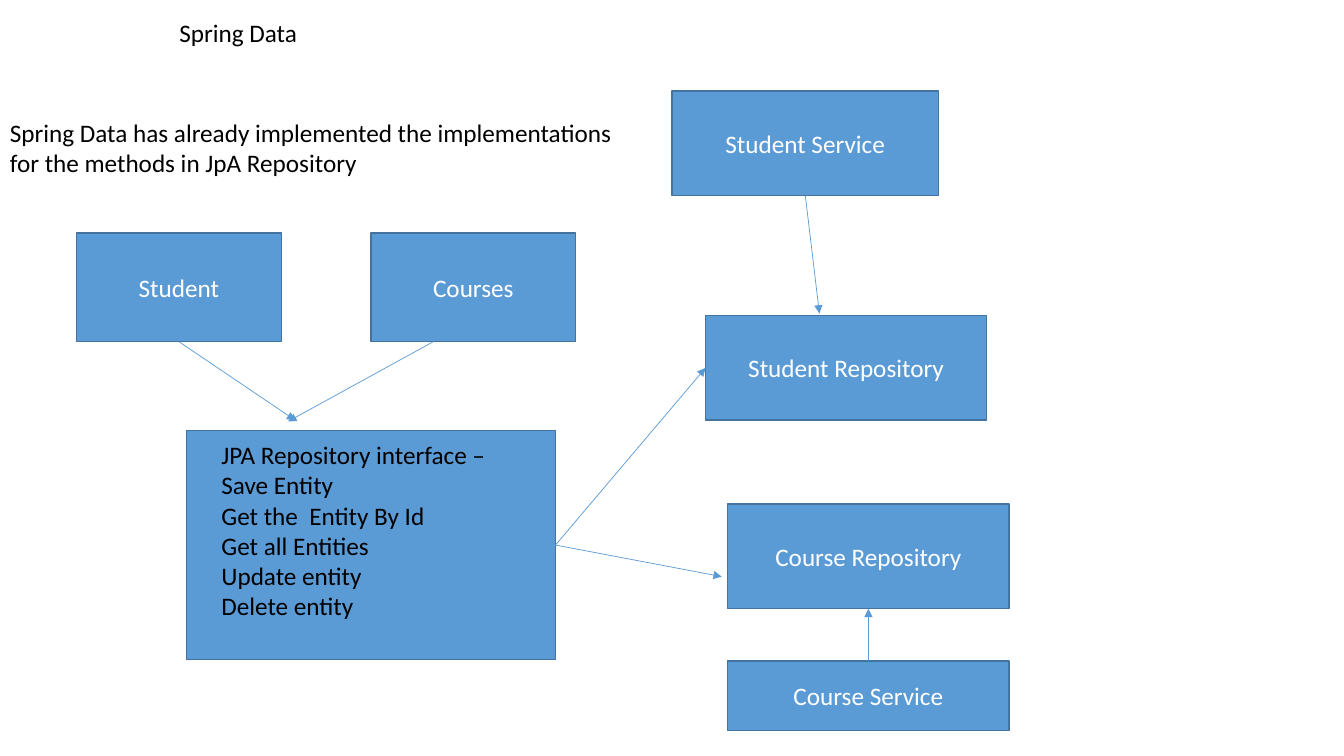
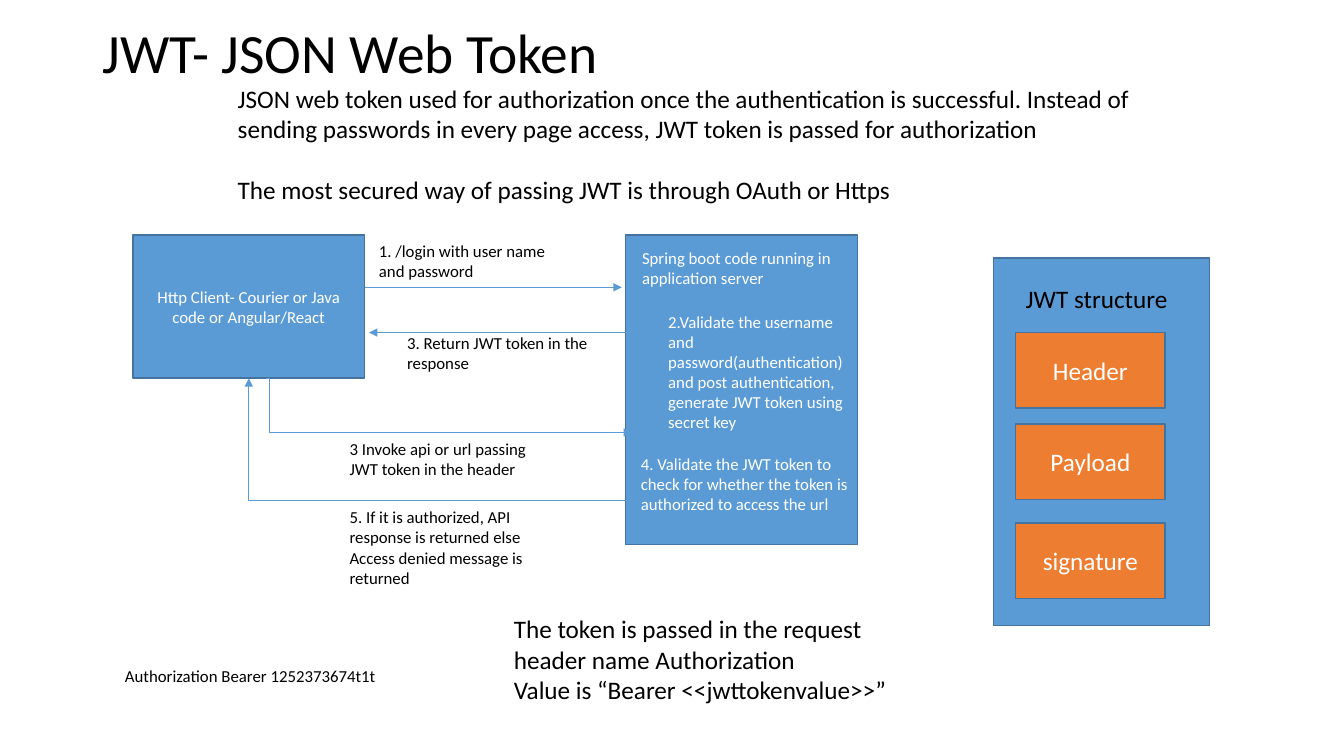
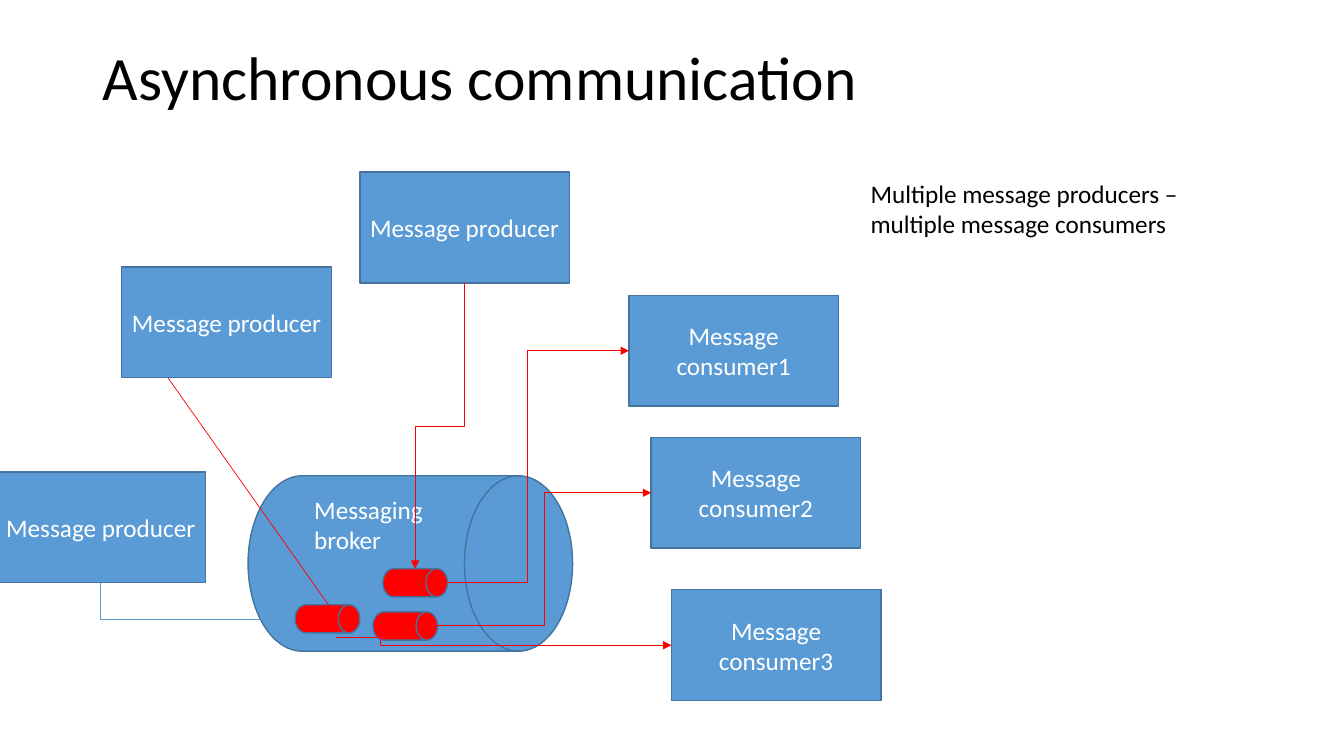
from math import cos, radians, sin

from pptx import Presentation
from pptx.dml.color import RGBColor
from pptx.enum.shapes import MSO_CONNECTOR as CONNECTOR, MSO_SHAPE as SHAPE
from pptx.enum.text import MSO_ANCHOR as ANCHOR, PP_ALIGN as ALIGN
from pptx.oxml.ns import qn
from pptx.oxml.xmlchemy import OxmlElement
from pptx.util import Cm, Pt

COLORS = {
    "blue": "5B9BD5",
    "outline": "43739E",
    "orange": "ED7D31",
    "red": "FF0000",
    "white": "FFFFFF",
    "black": "000000",
}
FONT = "Calibri"
TOP, LEFT, BOTTOM, RIGHT = 0, 1, 2, 3  # connection sites of a rectangle
TITLE = {"anchor": ANCHOR.MIDDLE, "paragraph_format": {"line_spacing": 0.9}}


def add_item(slide, box, text="", size=18, fill=None, kind=SHAPE.RECTANGLE,
             color=None, anchor=None, paragraph_format=None):
    """Add a filled shape with centred white text, or a plain text box."""
    lengths = [Cm(value) for value in box]
    if fill:
        shape = slide.shapes.add_shape(kind, *lengths)
        shape.shadow.inherit = False
        shape.fill.solid()
        shape.fill.fore_color.rgb = RGBColor.from_string(COLORS[fill])
        shape.line.color.rgb = RGBColor.from_string(COLORS["outline"])
        shape.line.width = Pt(1)
    else:
        shape = slide.shapes.add_textbox(*lengths)
    if not text:
        return shape
    frame_format = {
        "word_wrap": True,
        "vertical_anchor": anchor or (ANCHOR.MIDDLE if fill else ANCHOR.TOP),
    }
    for name, value in frame_format.items():
        setattr(shape.text_frame, name, value)
    shape.text_frame.text = text
    font_color = color or ("white" if fill else "black")
    font_format = {"name": FONT, "size": Pt(size)}
    alignment = {"alignment": ALIGN.CENTER if fill else ALIGN.LEFT}
    for paragraph in shape.text_frame.paragraphs:
        for name, value in (alignment | (paragraph_format or {})).items():
            setattr(paragraph, name, value)
        for run in paragraph.runs:
            for name, value in font_format.items():
                setattr(run.font, name, value)
            run.font.color.rgb = RGBColor.from_string(COLORS[font_color])
    return shape


def add_arrow(slide, start, end, color="blue", bend=None, rotation=0, adjust=None):
    """Add an arrow; a bent one is turned about the middle of its two ends."""
    middle = [(a + b) / 2 for a, b in zip(start, end)]
    x, y = start[0] - middle[0], start[1] - middle[1]
    cosine, sine = cos(radians(rotation)), sin(radians(rotation))
    turned_x, turned_y = x * cosine + y * sine, y * cosine - x * sine
    connector = slide.shapes.add_connector(
        CONNECTOR.ELBOW if bend else CONNECTOR.STRAIGHT,
        Cm(middle[0] + turned_x), Cm(middle[1] + turned_y),
        Cm(middle[0] - turned_x), Cm(middle[1] - turned_y))
    connector.line.color.rgb = RGBColor.from_string(COLORS[color])
    connector.line.width = Pt(0.5)
    properties = connector.element.spPr
    head = OxmlElement("a:tailEnd")
    head.set("type", "triangle")
    properties.find(qn("a:ln")).append(head)
    properties.append(OxmlElement("a:effectLst"))
    if rotation:
        properties.find(qn("a:xfrm")).set("rot", str(rotation * 60000))
    if bend:
        geometry = properties.find(qn("a:prstGeom"))
        geometry.set("prst", bend)
        if adjust is not None:
            guide = OxmlElement("a:gd")
            guide.set("name", "adj1")
            guide.set("fmla", f"val {round(adjust * 100000)}")
            geometry.find(qn("a:avLst")).append(guide)
    return connector


presentation = Presentation()
presentation.slide_width, presentation.slide_height = Cm(33.87), Cm(19.05)
blank = presentation.slide_layouts[6]

# Slide 1: Spring Data
slide = presentation.slides.add_slide(blank)
boxes = {
    "Student": (1.93, 5.87, 5.16, 2.74),
    "Courses": (9.35, 5.87, 5.16, 2.74),
    "Student Repository": (17.78, 7.95, 7.09, 2.64),
    "Course Repository": (18.34, 12.7, 7.09, 2.64),
    "Student Service": (16.94, 2.29, 6.71, 2.64),
    "Course Service": (18.34, 16.66, 7.09, 1.75),
}
shapes = {text: add_item(slide, box, text, fill="blue") for text, box in boxes.items()}
shapes["JPA"] = add_item(slide, (4.7, 10.85, 9.3, 5.77), fill="blue")
add_item(slide, (5.33, 10.95, 10.82, 7.19),
         "JPA Repository interface –\nSave Entity\nGet the  Entity By Id\n"
         "Get all Entities\nUpdate entity\nDelete entity")
add_item(slide, (4.27, 0.3, 11.81, 1.02), "Spring Data")
add_item(slide, (0, 2.82, 19.05, 1.8),
         "Spring Data has already implemented the implementations\n"
         "for the methods in JpA Repository")

# Arrows: start, end, joint at the start, joint at the end
for start, end, start_joint, end_joint in [
    ((4.51, 8.61), (7.44, 10.59), ("Student", BOTTOM), None),
    ((10.92, 8.61), (7.26, 10.62), None, None),
    ((14, 13.74), (17.78, 9.27), ("JPA", RIGHT), ("Student Repository", LEFT)),
    ((14, 13.74), (18.19, 14.53), ("JPA", RIGHT), None),
    ((20.3, 4.93), (20.65, 7.9), ("Student Service", BOTTOM), None),
    ((21.89, 16.66), (21.89, 15.34), ("Course Service", TOP), ("Course Repository", BOTTOM)),
]:
    connector = add_arrow(slide, start, end)
    if start_joint:
        connector.begin_connect(shapes[start_joint[0]], start_joint[1])
    if end_joint:
        connector.end_connect(shapes[end_joint[0]], end_joint[1])

# Slide 2: JSON Web Token
slide = presentation.slides.add_slide(blank)
add_item(slide, (2.34, 1.02, 29.21, 0.76), "JWT- JSON Web Token", 39.6, **TITLE)
introduction = add_item(
    slide, (5.74, 1.98, 24, 3.33),
    "JSON web token used for authorization once the authentication is successful. "
    "Instead of sending passwords in every page access, JWT token is passed for authorization\n"
    "The most secured way of passing JWT is through OAuth or Https")
introduction.text_frame.paragraphs[1].space_before = Pt(22)

# Client and server
add_item(slide, (3.35, 5.92, 5.84, 3.61),
         "Http Client- Courier or Java code or Angular/React", 12, fill="blue")
add_item(slide, (15.77, 5.92, 5.84, 7.8), fill="blue")
add_arrow(slide, (9.19, 7.24), (15.67, 7.24))
add_arrow(slide, (15.77, 8.38), (9.3, 8.38))
add_arrow(slide, (6.71, 9.53), (15.93, 10.9), bend="bentConnector3", adjust=0.008)
add_arrow(slide, (15.77, 12.62), (6.27, 9.53), bend="bentConnector2", rotation=180)

# Steps
for box, color, text in [
    ((15.93, 6.12, 5.41, 1.27), "white", "Spring boot code running in application server"),
    ((9.3, 5.94, 5.31, 1.27), "black", "1. /login with user name and password"),
    ((16.59, 7.72, 5.03, 3.33), "white",
     "2.Validate the username and password(authentication) and post authentication, "
     "generate JWT token using secret key"),
    ((10.01, 8.26, 5.49, 1.27), "black", "3. Return JWT token in the response"),
    ((8.56, 10.92, 5.49, 1.27), "black", "3 Invoke api or url passing JWT token in the header"),
    ((15.9, 11.3, 5.84, 1.8), "white",
     "4. Validate the JWT token to check for whether the token is authorized to access the url"),
    ((8.56, 12.65, 5.49, 2.31), "black",
     "5. If it is authorized, API response is returned else\nAccess denied message is returned"),
    ((2.9, 16.64, 9.04, 0.76), "black", "Authorization Bearer 1252373674t1t"),
]:
    add_item(slide, box, text, 12, color=color)
add_item(slide, (12.7, 15.34, 10.11, 2.57),
         "The token is passed in the request header name Authorization\n"
         "Value is “Bearer <<jwttokenvalue>>”")

# Token structure
add_item(slide, (25.04, 6.5, 5.44, 9.27), fill="blue")
add_item(slide, (25.6, 7.01, 5.11, 1.02), "JWT structure")
for top, part in [(8.38, "Header"), (10.69, "Payload"), (13.18, "signature")]:
    add_item(slide, (25.6, top, 3.76, 1.9), part, fill="orange")

# Slide 3: Asynchronous communication
slide = presentation.slides.add_slide(blank)
add_item(slide, (2.34, 1.02, 29.21, 2.03), "Asynchronous communication", 44, **TITLE)
add_item(slide, (21.69, 4.37, 10.21, 1.8),
         "Multiple message producers – multiple message consumers")

# Producers and consumers
for left, top, text in [
    (3.07, 6.73, "Message producer"),
    (9.07, 4.34, "Message producer"),
    (-0.1, 11.89, "Message producer"),
    (15.85, 7.44, "Message consumer1"),
    (16.41, 11.02, "Message consumer2"),
    (16.92, 14.86, "Message consumer3"),
]:
    add_item(slide, (left, top, 5.28, 2.79), text, fill="blue")

# Broker with its queues
broker = add_item(slide, (8.13, 10.11, 4.42, 8.18), fill="blue",
                  kind=SHAPE.FLOWCHART_MAGNETIC_DISK)
broker.rotation = 90
add_item(slide, (7.67, 12.32, 3.58, 1.8), "Messaging broker", color="white")
for left, top in [(7.44, 15.24), (9.4, 15.42), (9.65, 14.33)]:
    add_item(slide, (left, top, 1.63, 0.71), fill="red",
             kind=SHAPE.FLOWCHART_DIRECT_ACCESS_STORAGE)

# Message flow
for start, end, color, bend, rotation, adjust in [
    ((4.24, 9.53), (8.53, 15.6), "red", None, 0, None),
    ((10.74, 14.68), (15.85, 8.84), "red", "bentConnector3", 0, None),
    ((11.02, 15.77), (16.41, 12.42), "red", "bentConnector3", 0, None),
    ((8.48, 16.05), (16.92, 16.26), "red", "bentConnector3", 0, 0.13),
    ((11.71, 7.14), (10.46, 14.33), "red", "bentConnector3", 90, None),
    ((2.54, 14.68), (7.44, 15.6), "blue", "bentConnector2", 270, None),
]:
    add_arrow(slide, start, end, color, bend, rotation, adjust)

presentation.save("out.pptx")
